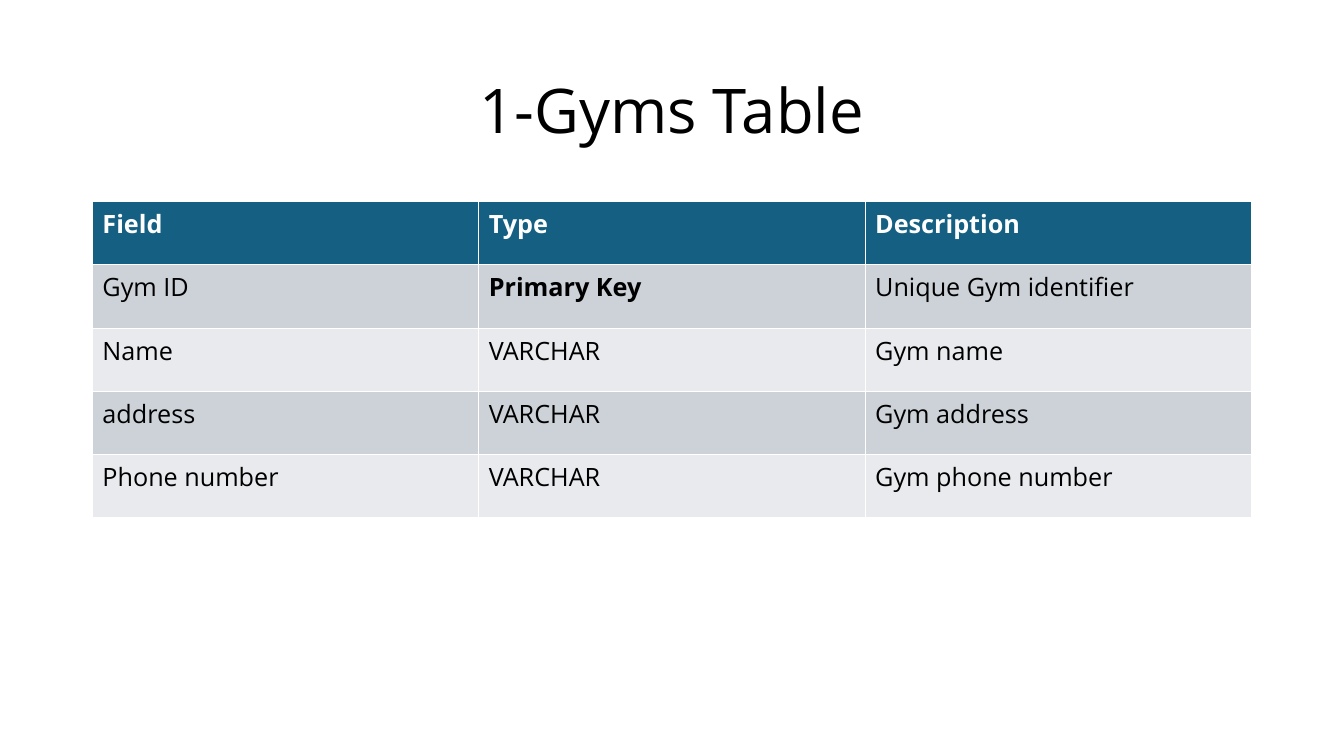
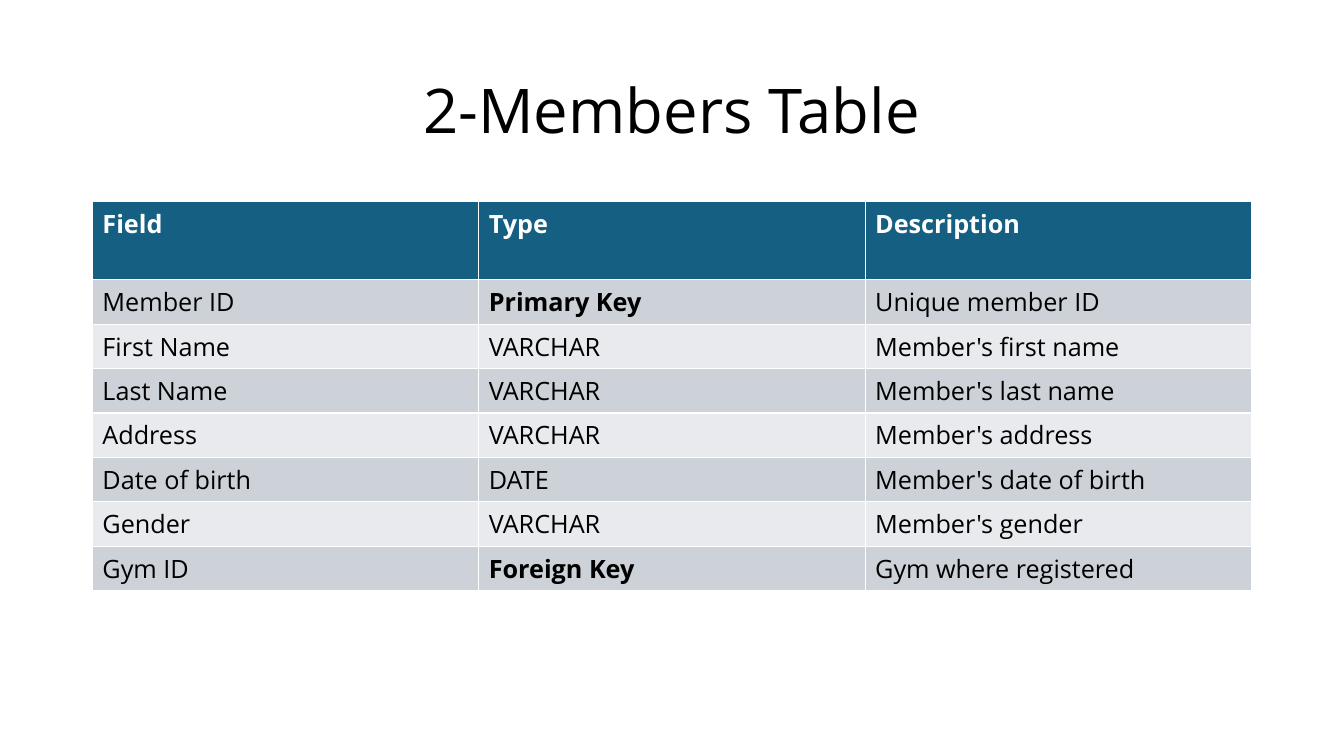
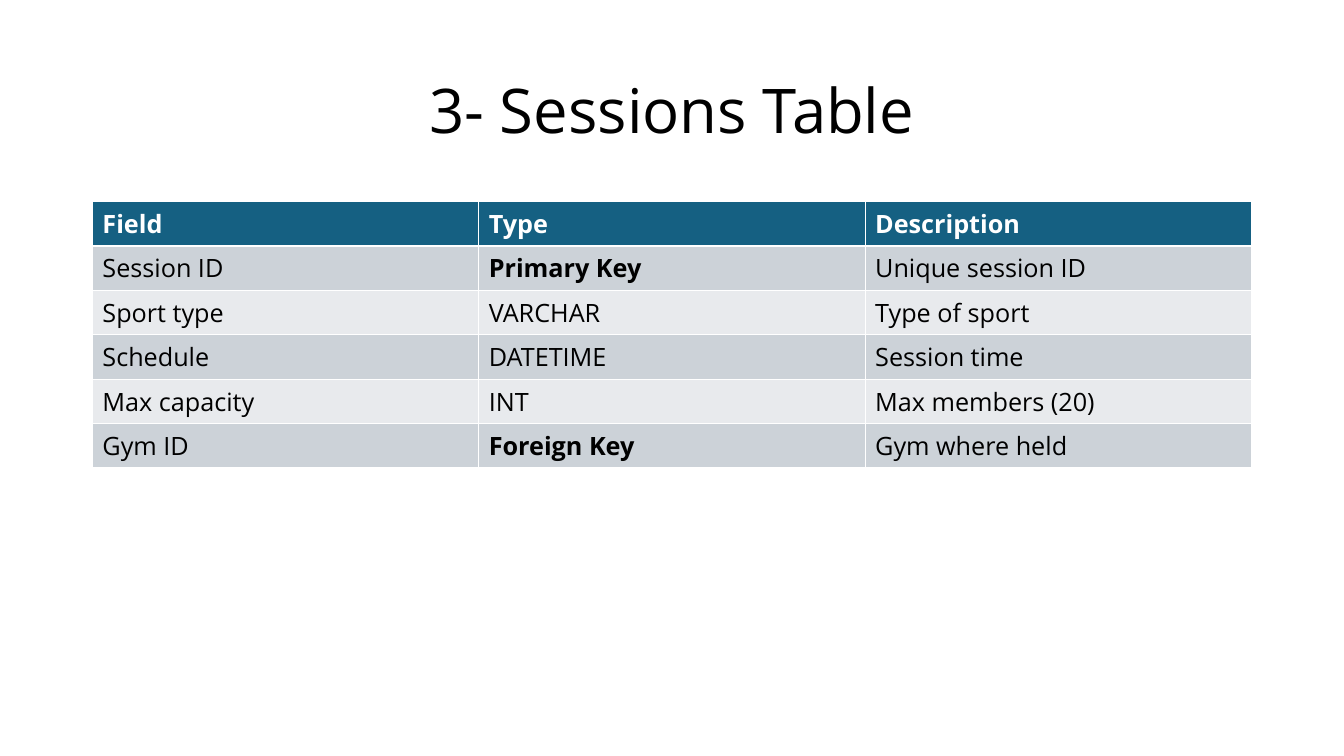
"""Build three slides that describe the tables of a gym database."""
from pptx import Presentation
from pptx.dml.color import RGBColor
from pptx.enum.text import MSO_ANCHOR, PP_ALIGN
from pptx.util import Pt

CENTER = PP_ALIGN.CENTER
MIDDLE = MSO_ANCHOR.MIDDLE
TITLE_ONLY = 5

FONT = "Open Sans"
BLACK = "000000"
WHITE = "FFFFFF"
HEADER_FILL = "156082"
BAND_FILLS = ("CCD2D8", "E8EAED")

LEFT, WIDTH = 66, 828
TITLE_TOP, TITLE_HEIGHT = 28.75, 104.4
TABLE_TOP = 144

HEADER = ("Field", "Type", "Description")
KEYS = ("Primary Key", "Foreign Key")

TABLES = [
    {
        "title": "1-Gyms Table",
        "header_height": 45.2,
        "row_height": 45.2,
        "rows": [
            ("Gym ID", "Primary Key", "Unique Gym identifier"),
            ("Name", "VARCHAR", "Gym name"),
            ("address", "VARCHAR", "Gym address"),
            ("Phone number", "VARCHAR", "Gym phone number"),
        ],
    },
    {
        "title": "2-Members Table",
        "header_height": 55.8,
        "row_height": 31.7,
        "rows": [
            ("Member ID", "Primary Key", "Unique member ID"),
            ("First Name", "VARCHAR", "Member's first name"),
            ("Last Name", "VARCHAR", "Member's last name"),
            ("Address", "VARCHAR", "Member's address"),
            ("Date of birth", "DATE", "Member's date of birth"),
            ("Gender", "VARCHAR", "Member's gender"),
            ("Gym ID", "Foreign Key", "Gym where registered"),
        ],
    },
    {
        "title": "3- Sessions Table",
        "header_height": 31.7,
        "row_height": 31.7,
        "rows": [
            ("Session ID", "Primary Key", "Unique session ID"),
            ("Sport type", "VARCHAR", "Type of sport"),
            ("Schedule", "DATETIME", "Session time"),
            ("Max capacity", "INT", "Max members (20)"),
            ("Gym ID", "Foreign Key", "Gym where held"),
        ],
    },
]


def color(value):
    return RGBColor.from_string(value)


def style_font(paragraph, size, text_color, bold=False):
    font = paragraph.font
    font.name = FONT
    font.size = Pt(size)
    font.bold = bold
    font.color.rgb = color(text_color)


def add_title(slide, text):
    title = slide.shapes.title
    title.left, title.top = Pt(LEFT), Pt(TITLE_TOP)
    title.width, title.height = Pt(WIDTH), Pt(TITLE_HEIGHT)
    title.text_frame.text = text
    title.text_frame.vertical_anchor = MIDDLE
    paragraph = title.text_frame.paragraphs[0]
    paragraph.alignment = CENTER
    paragraph.line_spacing = 0.9
    style_font(paragraph, 44, BLACK)


def fill_cell(cell, text, fill, text_color, bold):
    cell.text = text
    cell.fill.solid()
    cell.fill.fore_color.rgb = color(fill)
    style_font(cell.text_frame.paragraphs[0], 18, text_color, bold)


def add_field_table(slide, rows, header_height, row_height):
    heights = [header_height] + [row_height] * len(rows)
    table = slide.shapes.add_table(
        len(heights), len(HEADER),
        Pt(LEFT), Pt(TABLE_TOP), Pt(WIDTH), Pt(sum(heights)),
    ).table
    for table_row, height in zip(table.rows, heights):
        table_row.height = Pt(height)
    for column, text in enumerate(HEADER):
        fill_cell(table.cell(0, column), text, HEADER_FILL, WHITE, True)
    for index, row in enumerate(rows):
        fill = BAND_FILLS[index % 2]
        for column, text in enumerate(row):
            fill_cell(table.cell(index + 1, column), text, fill, BLACK, text in KEYS)


def main():
    presentation = Presentation()
    presentation.slide_width, presentation.slide_height = Pt(960), Pt(540)
    for content in TABLES:
        slide = presentation.slides.add_slide(presentation.slide_layouts[TITLE_ONLY])
        add_title(slide, content["title"])
        add_field_table(
            slide, content["rows"], content["header_height"], content["row_height"]
        )
    presentation.save("out.pptx")


if __name__ == "__main__":
    main()
